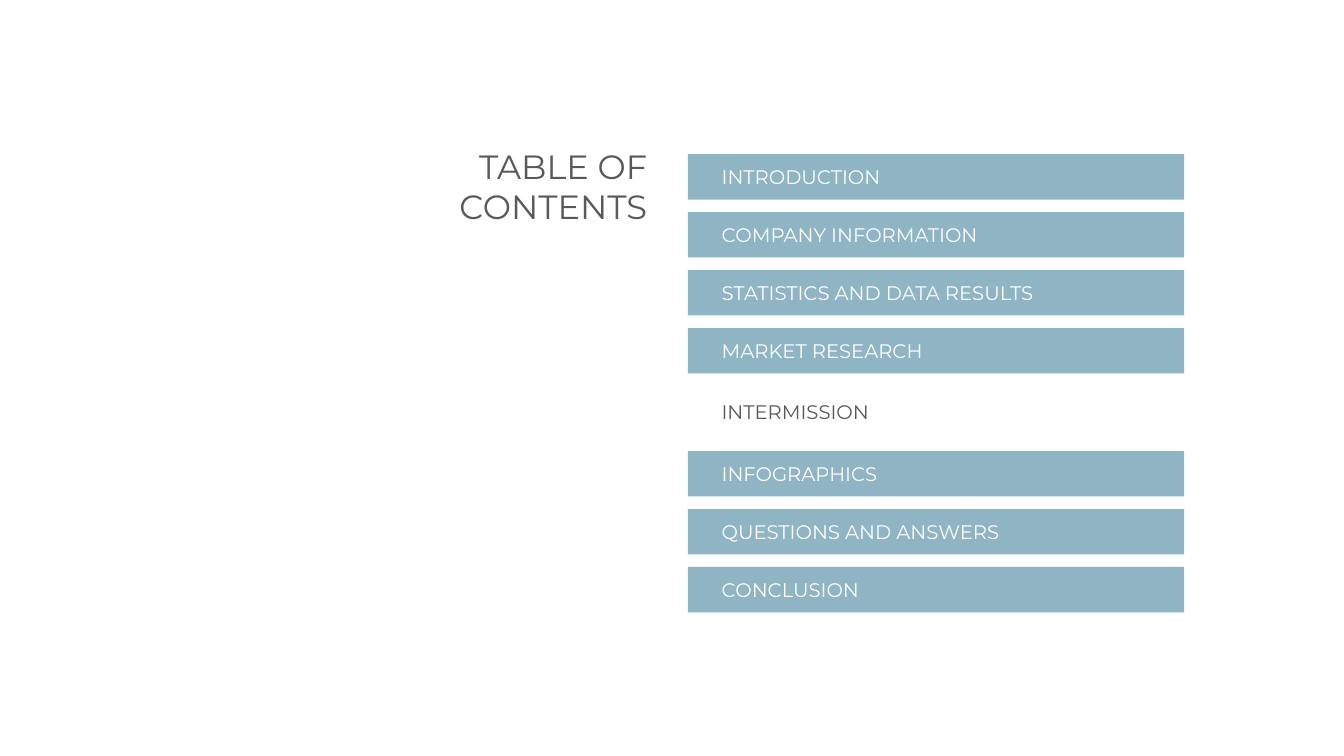
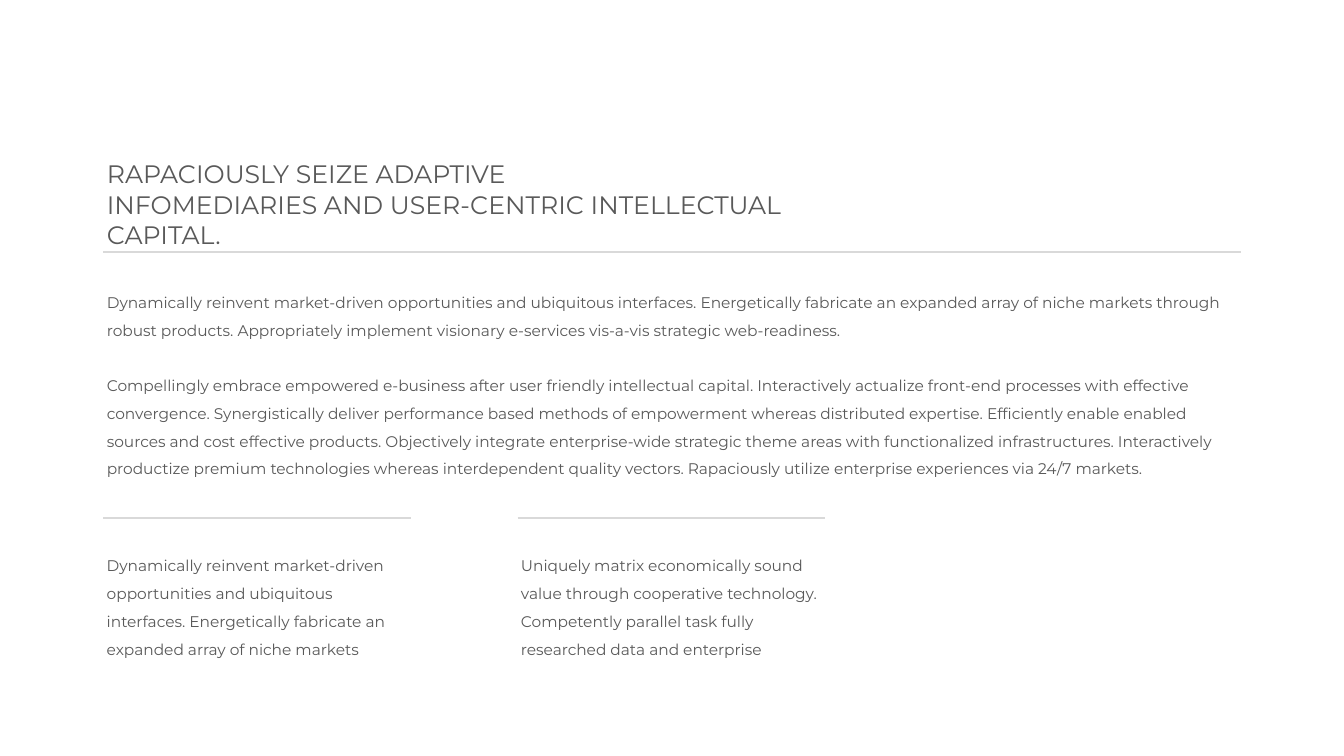
from lxml.etree import SubElement
from pptx import Presentation
from pptx.dml.color import RGBColor
from pptx.enum.shapes import MSO_CONNECTOR, MSO_SHAPE
from pptx.enum.text import MSO_ANCHOR, MSO_AUTO_SIZE, PP_ALIGN
from pptx.oxml.ns import qn
from pptx.util import Inches, Pt

COLORS = {"text": "595959", "bar": "8FB4C4", "rule": "D9D9D9", "white": "FFFFFF"}
FONT = "Montserrat"

CONTENTS_TITLE = ["TABLE OF", "CONTENTS"]
BREAK_LABEL = "INTERMISSION"
BAR_GROUPS = [
    (3.06, ["INTRODUCTION", "COMPANY INFORMATION", "STATISTICS AND DATA RESULTS", "MARKET RESEARCH"]),
    (8.95, ["INFOGRAPHICS", "QUESTIONS AND ANSWERS", "CONCLUSION"]),
]
BAR_LEFT, BAR_WIDTH, BAR_HEIGHT, BAR_PITCH = 13.65, 9.85, 0.9, 1.15
LABEL_INDENT = 0.57

ARTICLE_TITLE = [
    "RAPACIOUSLY SEIZE ADAPTIVE",
    "INFOMEDIARIES AND USER-CENTRIC INTELLECTUAL CAPITAL.",
]
ARTICLE_BODY = [
    "Dynamically reinvent market-driven opportunities and ubiquitous interfaces. "
    "Energetically fabricate an expanded array of niche markets through robust products. "
    "Appropriately implement visionary e-services vis-a-vis strategic web-readiness.",
    "Compellingly embrace empowered e-business after user friendly intellectual capital. "
    "Interactively actualize front-end processes with effective convergence. "
    "Synergistically deliver performance based methods of empowerment whereas distributed expertise. "
    "Efficiently enable enabled sources and cost effective products. "
    "Objectively integrate enterprise-wide strategic theme areas with functionalized infrastructures. "
    "Interactively productize premium technologies whereas interdependent quality vectors. "
    "Rapaciously utilize enterprise experiences via 24/7 markets.",
]
COLUMNS = [
    "Dynamically reinvent market-driven opportunities and ubiquitous interfaces. "
    "Energetically fabricate an expanded array of niche markets",
    "Uniquely matrix economically sound value through cooperative technology. "
    "Competently parallel task fully researched data and enterprise",
]
TEXT_LEFT, RULE_LEFT = 2.02, 2.05
COLUMN_WIDTH, COLUMN_PITCH = 6.14, 8.22


def color(name):
    return RGBColor.from_string(COLORS[name])


def write(box, lines, size, ink="text", align=PP_ALIGN.LEFT, spacing=1.0, gap=0, anchor=MSO_ANCHOR.TOP):
    frame = box.text_frame
    frame.word_wrap = True
    frame.auto_size = MSO_AUTO_SIZE.NONE
    frame.vertical_anchor = anchor
    for index, line in enumerate(lines):
        para = frame.add_paragraph() if index else frame.paragraphs[0]
        para.text = line
        para.alignment = align
        para.line_spacing = spacing
        para.space_before = Pt(gap if index else 0)
        para.font.name = FONT
        para.font.size = Pt(size)
        para.font.color.rgb = color(ink)


def place(box, left, top, width, height):
    box.left, box.top = Inches(left), Inches(top)
    box.width, box.height = Inches(width), Inches(height)


def add_text(page, area, lines, size, **style):
    box = page.shapes.add_textbox(*map(Inches, area))
    write(box, lines, size, **style)


def add_title(page, area, lines, size, **style):
    place(page.shapes.title, *area)
    write(page.shapes.title, lines, size, **style)


def add_bar(page, top, label):
    bar = page.shapes.add_shape(
        MSO_SHAPE.RECTANGLE, *map(Inches, (BAR_LEFT, top, BAR_WIDTH, BAR_HEIGHT)))
    bar.shadow.inherit = False
    bar.fill.solid()
    bar.fill.fore_color.rgb = color("bar")
    bar.line.fill.background()
    bar.text_frame.margin_left = Inches(LABEL_INDENT + 0.1)
    write(bar, [label], 28, ink="white", anchor=MSO_ANCHOR.MIDDLE)


def add_rule(page, left, top, width):
    rule = page.shapes.add_connector(
        MSO_CONNECTOR.STRAIGHT, *map(Inches, (left, top, left + width, top)))
    rule.line.color.rgb = color("rule")
    rule.line.width = Pt(3)
    SubElement(rule._element.spPr, qn("a:effectLst"))


def remove_bullets(box):
    for para in box.text_frame.paragraphs:
        properties = para._p.get_or_add_pPr()
        properties.set("marL", "0")
        properties.set("indent", "0")
        bullet = properties.makeelement(qn("a:buNone"), {})
        defaults = properties.find(qn("a:defRPr"))
        defaults.addprevious(bullet)


def build_contents(deck):
    page = deck.slides.add_slide(deck.slide_layouts[5])
    add_title(page, (8.99, 2.84, 3.95, 1.72), CONTENTS_TITLE, 48, align=PP_ALIGN.RIGHT)
    for top, labels in BAR_GROUPS:
        for row, label in enumerate(labels):
            add_bar(page, top + row * BAR_PITCH, label)
    add_text(page, (BAR_LEFT + LABEL_INDENT, 7.88, 8.68, 0.57), [BREAK_LABEL], 28)


def build_article(deck):
    page = deck.slides.add_slide(deck.slide_layouts[1])
    add_title(page, (TEXT_LEFT, 3.1, 15.9, 1.31), ARTICLE_TITLE, 36)
    add_rule(page, RULE_LEFT, 5, 22.57)
    body = page.placeholders[1]
    place(body, TEXT_LEFT, 5.58, 22.57, 3.99)
    write(body, ARTICLE_BODY, 22, spacing=1.5, gap=40)
    remove_bullets(body)
    for index, text in enumerate(COLUMNS):
        offset = index * COLUMN_PITCH
        add_rule(page, RULE_LEFT + offset, 10.28, 6.11)
        add_text(page, (TEXT_LEFT + offset, 10.81, COLUMN_WIDTH, 2.32), [text], 22, spacing=1.5)


def main():
    deck = Presentation()
    deck.slide_width, deck.slide_height = Inches(26.67), Inches(15)
    build_contents(deck)
    build_article(deck)
    deck.save("out.pptx")


if __name__ == "__main__":
    main()
